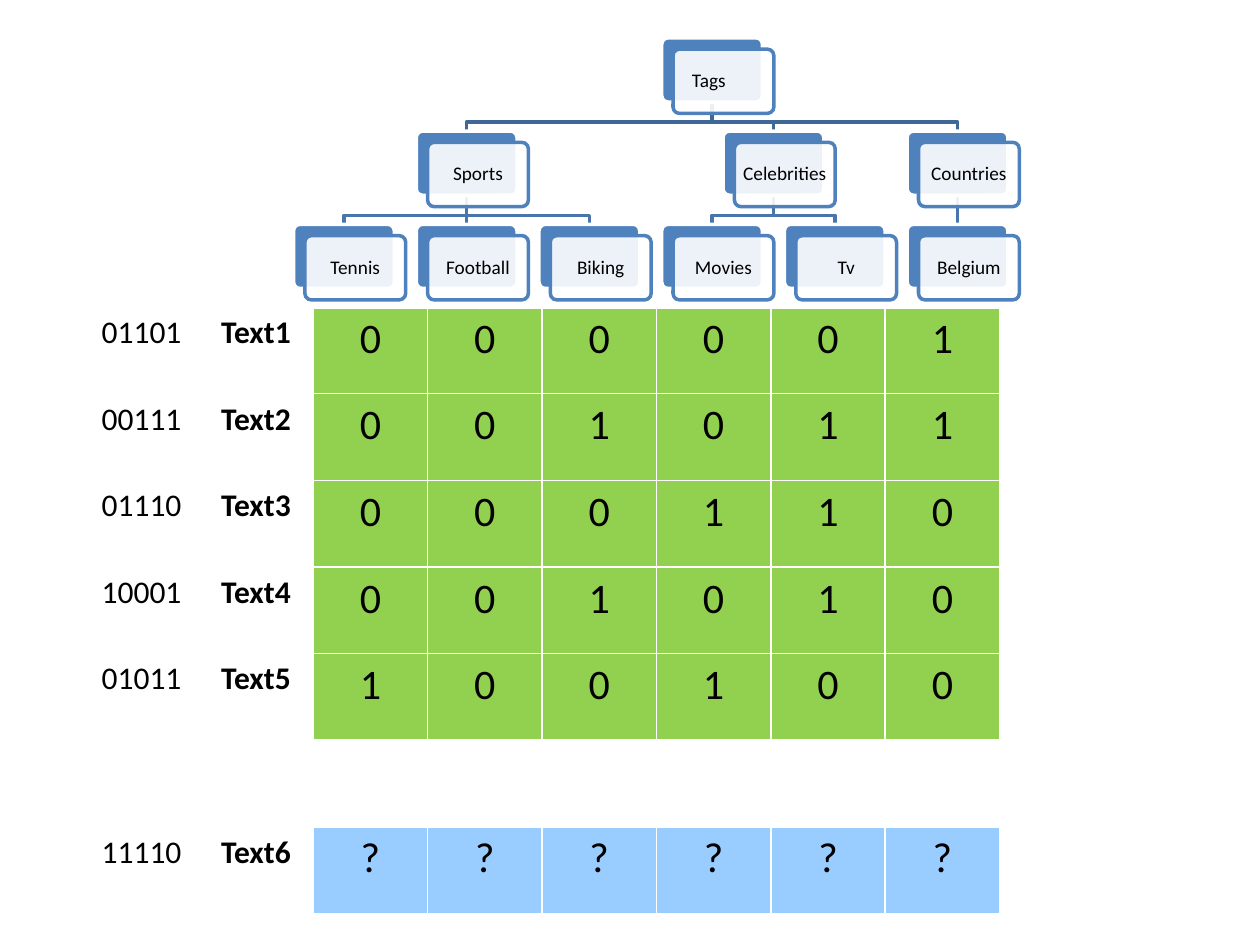
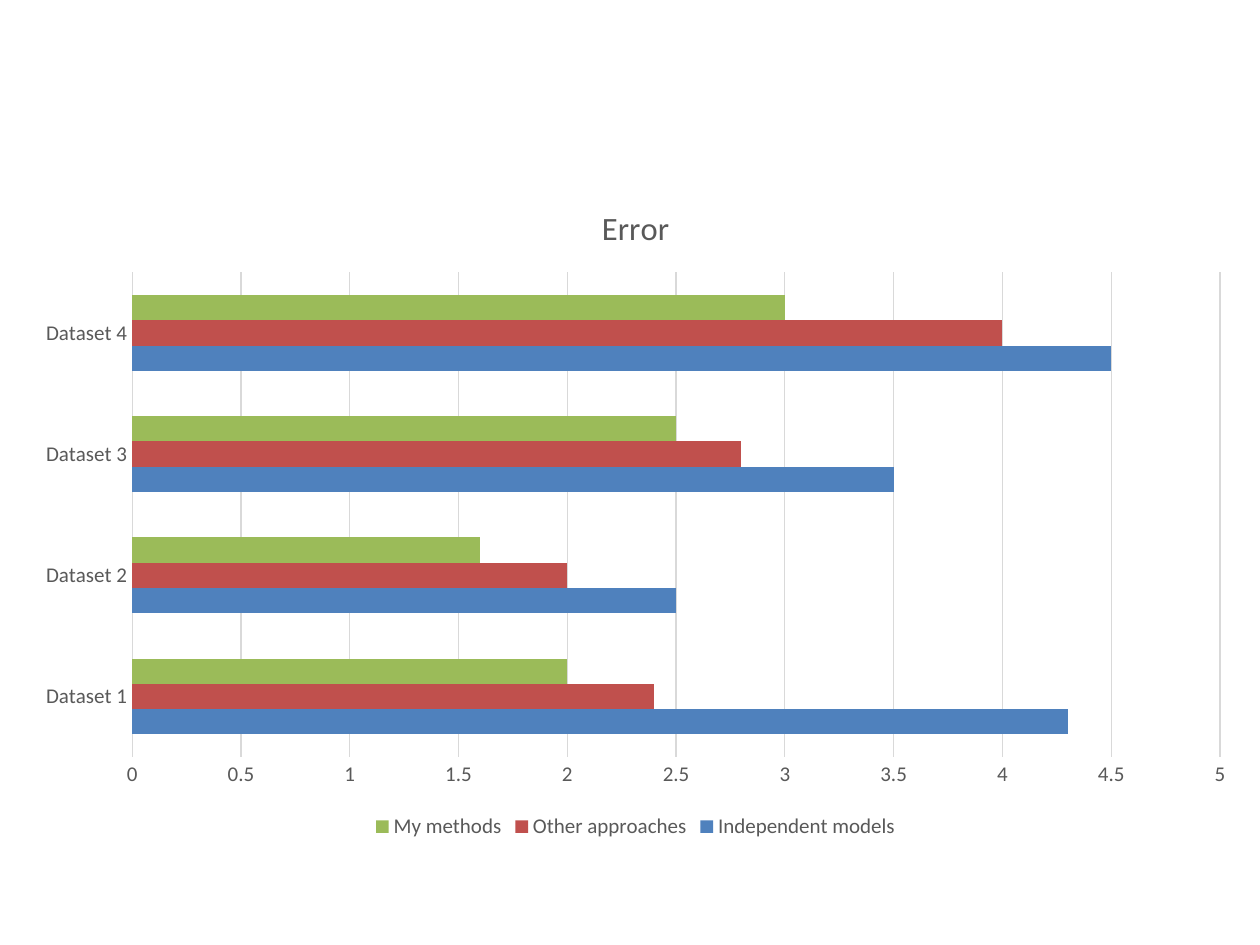
from lxml.etree import SubElement
from pptx import Presentation
from pptx.chart.data import CategoryChartData
from pptx.dml.color import RGBColor
from pptx.enum.chart import XL_CHART_TYPE as ChartType
from pptx.enum.chart import XL_LEGEND_POSITION as LegendPosition
from pptx.enum.chart import XL_TICK_MARK as TickMark
from pptx.enum.shapes import MSO_CONNECTOR as Connector
from pptx.enum.shapes import MSO_SHAPE as Shape
from pptx.enum.text import MSO_ANCHOR as Anchor
from pptx.enum.text import PP_ALIGN as Align
from pptx.oxml.ns import qn
from pptx.util import Inches, Pt

FONT = "Calibri"
BLACK, WHITE, GREY, GRID = "000000", "FFFFFF", "595959", "D9D9D9"
BLUE, RED, OLIVE = "4F81BD", "C0504D", "9BBB59"
GREEN, PALE_BLUE = "92D050", "99CCFF"


def color(hex_code):
    return RGBColor.from_string(hex_code)


def style_font(font, size, hex_code, bold=False):
    font.name, font.size, font.bold = FONT, Pt(size), bold
    font.color.rgb = color(hex_code)


deck = Presentation()
deck.slide_width, deck.slide_height = Inches(10), Inches(7.5)
blank = deck.slide_layouts[6]

# Slide 1: texts with their binary codes and tag values
page = deck.slides.add_slide(blank)
texts = {
    1: ("01101", "Text1", "000001"),
    2: ("00111", "Text2", "001011"),
    3: ("01110", "Text3", "000110"),
    4: ("10001", "Text4", "001010"),
    5: ("01011", "Text5", "100100"),
    7: ("11110", "Text6", "??????"),
}
ROWS, COLUMNS = 8, 10
table = page.shapes.add_table(
    ROWS, COLUMNS, Inches(0.67), Inches(1.75), Inches(9.08), Inches(5.5)
).table

for row in range(ROWS):
    code, name, tags = texts.get(row, ("", "", ""))
    values = [code, name, *tags]
    for column in range(COLUMNS):
        cell = table.cell(row, column)
        properties = cell._tc.get_or_add_tcPr()
        for side in ("a:lnL", "a:lnR", "a:lnT", "a:lnB"):
            width = 3 if row == 0 and side == "a:lnB" else 1
            border = SubElement(properties, qn(side), w=str(Pt(width)))
            border_fill = SubElement(border, qn("a:solidFill"))
            SubElement(border_fill, qn("a:srgbClr"), val=WHITE)

        is_tag = 2 <= column < len(values)
        tag_fill = PALE_BLUE if "?" in tags else GREEN
        cell.fill.solid()
        cell.fill.fore_color.rgb = color(tag_fill if is_tag else WHITE)
        if column < len(values) and values[column]:
            para = cell.text_frame.paragraphs[0]
            para.alignment = Align.CENTER
            span = para.add_run()
            span.text = values[column]
            style_font(span.font, 24 if is_tag else 18, BLACK, bold=column == 1)

# Slide 1: tag tree, each parent centred between its first and last child
CARD_WIDTH, CARD_HEIGHT = 0.8, 0.51
CARD_SHIFT = 0.09
LEAF_LEFT, LEAF_STEP = 2.33, 0.974
TREE_TOP, LEVEL_STEP = 0.3, 0.74
BEND = 0.16

branches = {
    "Sports": ["Tennis", "Football", "Biking"],
    "Celebrities": ["Movies", "Tv"],
    "Countries": ["Belgium"],
}
ROOT = "Tags\t"
cards = {}
leaf_number = 0
for parent, leaves in branches.items():
    for leaf in leaves:
        cards[leaf] = (LEAF_LEFT + leaf_number * LEAF_STEP, 2)
        leaf_number += 1
    cards[parent] = ((cards[leaves[0]][0] + cards[leaves[-1]][0]) / 2, 1)
cards[ROOT] = ((cards["Sports"][0] + cards["Countries"][0]) / 2, 0)

for parent, children in [*branches.items(), (ROOT, list(branches))]:
    parent_left, level = cards[parent]
    start_x = Inches(parent_left + CARD_WIDTH / 2)
    start_y = Inches(TREE_TOP + level * LEVEL_STEP + CARD_HEIGHT)
    bend_y = start_y + Inches(BEND)
    end_y = Inches(TREE_TOP + (level + 1) * LEVEL_STEP)
    for child in children:
        end_x = Inches(cards[child][0] + CARD_WIDTH / 2)
        if abs(end_x - start_x) < Inches(0.01):
            link = page.shapes.add_connector(
                Connector.STRAIGHT, start_x, start_y, start_x, end_y
            )
            SubElement(link._element.spPr, qn("a:effectLst"))
        else:
            outline = page.shapes.build_freeform(start_x, start_y)
            outline.add_line_segments(
                [(start_x, bend_y), (end_x, bend_y), (end_x, end_y)], close=False
            )
            link = outline.convert_to_shape()
            link.fill.background()
            link.shadow.inherit = False
        link.line.width = Pt(2)
        link.line.color.rgb = color("3F6797" if parent == ROOT else "4875AC")

for label, (left, level) in cards.items():
    top = TREE_TOP + level * LEVEL_STEP
    for shift, fill, line in ((0, BLUE, WHITE), (CARD_SHIFT, WHITE, BLUE)):
        card = page.shapes.add_shape(
            Shape.ROUNDED_RECTANGLE,
            Inches(left + shift), Inches(top + shift),
            Inches(CARD_WIDTH), Inches(CARD_HEIGHT),
        )
        card.adjustments[0] = 0.1
        card.shadow.inherit = False
        card.fill.solid()
        card.fill.fore_color.rgb = color(fill)
        card.line.color.rgb = color(line)
        card.line.width = Pt(2)

    # The front card is slightly see-through and carries the label
    front_fill = card._element.spPr.find(qn("a:solidFill"))
    SubElement(front_fill[0], qn("a:alpha"), val="90000")
    frame = card.text_frame
    frame.word_wrap = True
    frame.vertical_anchor = Anchor.MIDDLE
    frame.margin_left = frame.margin_right = Inches(0.05)
    frame.margin_top = frame.margin_bottom = Inches(0.05)
    para = frame.paragraphs[0]
    para.alignment = Align.CENTER
    para.line_spacing = 0.9
    span = para.add_run()
    span.text = label
    style_font(span.font, 11, BLACK)

# Slide 2: error by dataset and method
page = deck.slides.add_slide(blank)
errors = [
    ("Independent models", (4.3, 2.5, 3.5, 4.5), BLUE),
    ("Other approaches", (2.4, 2, 2.8, 4), RED),
    ("My methods", (2, 1.6, 2.5, 3), OLIVE),
]
data = CategoryChartData()
data.categories = [f"Dataset {number}" for number in range(1, 5)]
for name, values, _ in errors:
    data.add_series(name, values)
chart = page.shapes.add_chart(
    ChartType.BAR_CLUSTERED,
    Inches(0.17), Inches(1.42), Inches(9.75), Inches(5.28), data,
).chart
style_font(chart.font, 10, BLACK)

chart.has_title = True
span = chart.chart_title.text_frame.paragraphs[0].add_run()
span.text = "Error"
style_font(span.font, 18.6, GREY)
chart.chart_title.include_in_layout = False

chart.has_legend = True
chart.legend.position = LegendPosition.BOTTOM
chart.legend.include_in_layout = False
style_font(chart.legend.font, 12, GREY)

for axis in (chart.category_axis, chart.value_axis):
    axis.major_tick_mark = axis.minor_tick_mark = TickMark.NONE
    style_font(axis.tick_labels.font, 12, GREY)
category_line = chart.category_axis.format.line
grid_line = chart.value_axis.major_gridlines.format.line
for line in (category_line, grid_line):
    line.color.rgb = color(GRID)
    line.width = Pt(0.75)
chart.value_axis.format.line.fill.background()
chart.value_axis.tick_labels.number_format = "General"
chart.value_axis.tick_labels.number_format_is_linked = False

plot = chart.plots[0]
plot.gap_width = 182
plot.vary_by_categories = False
for series, (_, _, fill) in zip(plot.series, errors):
    series.format.fill.solid()
    series.format.fill.fore_color.rgb = color(fill)

deck.save("out.pptx")
